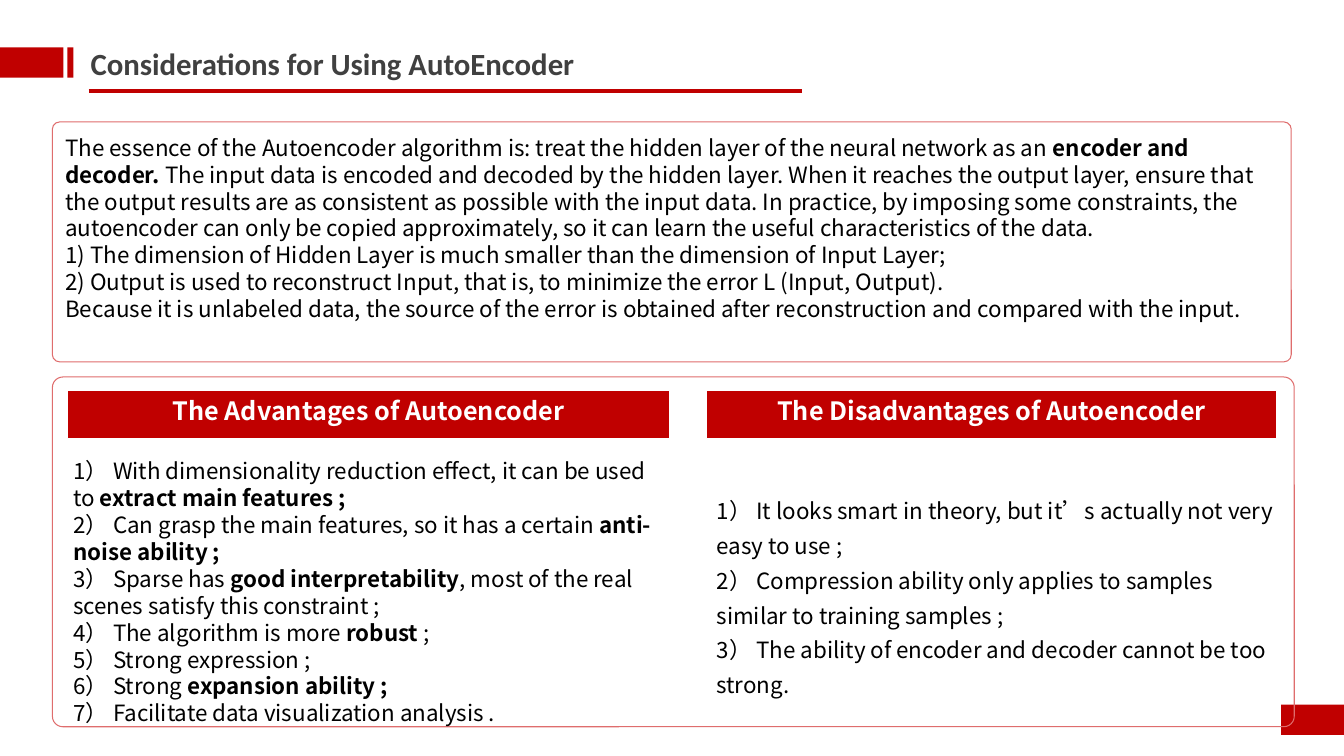
import lxml.etree
import pptx
import pptx.dml.color
import pptx.enum.shapes
import pptx.enum.text
import pptx.oxml.ns
import pptx.util

COLORS = {"red": "C00000", "pink": "DF6D6D", "gray": "404040",
          "black": "000000", "white": "FFFFFF"}
SHAPES = pptx.enum.shapes.MSO_SHAPE
ALIGN = pptx.enum.text.PP_ALIGN
WIDTH, HEIGHT = pptx.util.Inches(13.33), pptx.util.Inches(7.5)
BODY_FONT = "Noto Sans CJK SC"

TITLE = {"size": pptx.util.Pt(22), "name": "Calibri", "bold": True}
HEADING = {"size": pptx.util.Pt(18), "name": BODY_FONT, "bold": True}
BODY = {"size": pptx.util.Pt(16), "name": BODY_FONT}

ESSENCE = [
    "The essence of the Autoencoder algorithm is: treat the hidden layer of the "
    "neural network as an **encoder and decoder. **The input data is encoded and "
    "decoded by the hidden layer. When it reaches the output layer, ensure that the "
    "output results are as consistent as possible with the input data. In practice, "
    "by imposing some constraints, the autoencoder can only be copied approximately, "
    "so it can learn the useful characteristics of the data.",
    "1) The dimension of Hidden Layer is much smaller than the dimension of Input Layer;",
    "2) Output is used to reconstruct Input, that is, to minimize the error L (Input, Output).",
    "Because it is unlabeled data, the source of the error is obtained after "
    "reconstruction and compared with the input.",
]
ADVANTAGES = [
    "1） With dimensionality reduction effect, it can be used to **extract main features ;**",
    "2） Can grasp the main features, so it has a certain **anti-noise ability ;**",
    "3） Sparse has **good interpretability**, most of the real scenes satisfy this constraint ;",
    "4） The algorithm is more **robust **;",
    "5） Strong expression ;",
    "6） Strong **expansion ability ;**",
    "7） Facilitate data visualization analysis .",
]
DISADVANTAGES = [
    "1） It looks smart in theory, but it’s actually not very easy to use ;",
    "2） Compression ability only applies to samples similar to training samples ;",
    "3） The ability of encoder and decoder cannot be too strong.",
]


def rgb(color):
    return pptx.dml.color.RGBColor.from_string(COLORS[color])


def grid(column, row, columns, rows):
    """Turn cells of a 100 by 100 slide grid into left, top, width, height."""
    return [int(cells * side / 100) for cells, side in
            ((column, WIDTH), (row, HEIGHT), (columns, WIDTH), (rows, HEIGHT))]


def write(frame, paragraphs, style, color, **layout):
    """Fill a frame with paragraphs, where ** switches bold on and off."""
    frame.word_wrap = True
    frame.vertical_anchor = pptx.enum.text.MSO_ANCHOR.TOP
    for index, line in enumerate(paragraphs):
        paragraph = frame.paragraphs[0] if index == 0 else frame.add_paragraph()
        for attribute, value in layout.items():
            setattr(paragraph, attribute, value)
        for part, words in enumerate(line.split("**")):
            if not words:
                continue
            run = paragraph.add_run()
            run.text = words
            run.font.bold = part % 2 == 1
            for attribute, value in style.items():
                setattr(run.font, attribute, value)
            run.font.color.rgb = rgb(color)
            east_asian = lxml.etree.SubElement(
                run.font._element, pptx.oxml.ns.qn("a:ea"))
            east_asian.set("typeface", style["name"])


def add_text(slide, place, paragraphs, style, color, **layout):
    box = slide.shapes.add_textbox(*grid(*place))
    write(box.text_frame, paragraphs, style, color, **layout)


def add_block(slide, place, outline=None):
    block = slide.shapes.add_shape(SHAPES.RECTANGLE, *grid(*place))
    block.shadow.inherit = False
    block.fill.solid()
    block.fill.fore_color.rgb = rgb("red")
    if outline:
        block.line.color.rgb = rgb(outline)
        block.line.width = pptx.util.Pt(0.75)
    else:
        block.line.fill.background()
    return block


def add_card(slide, place):
    card = slide.shapes.add_shape(SHAPES.ROUNDED_RECTANGLE, *grid(*place))
    card.adjustments[0] = 0.03
    card.shadow.inherit = False
    card.fill.background()
    card.line.color.rgb = rgb("pink")
    card.line.width = pptx.util.Pt(0.75)


def add_banner(slide, place, heading):
    banner = add_block(slide, place, "white")
    write(banner.text_frame, [heading], HEADING, "white", alignment=ALIGN.CENTER)


def add_underline(slide, column, row, columns):
    left, top, width, _ = grid(column, row, columns, 0)
    rule = slide.shapes.add_connector(
        pptx.enum.shapes.MSO_CONNECTOR.STRAIGHT, left, top, left + width, top)
    rule.line.color.rgb = rgb("red")
    rule.line.width = pptx.util.Pt(3)
    lxml.etree.SubElement(rule._element.spPr, pptx.oxml.ns.qn("a:effectLst"))


def main():
    deck = pptx.Presentation()
    deck.slide_width, deck.slide_height = WIDTH, HEIGHT
    slide = deck.slides.add_slide(deck.slide_layouts[6])

    add_block(slide, (95.32, 93.2, 4.68, 4))
    add_text(slide, (6, 5.2, 87.08, 6.27),
             ["Considerations for Using AutoEncoder"], TITLE, "gray")
    add_card(slide, (3.9, 49.87, 92.4, 46.27))
    add_card(slide, (3.9, 16.13, 92.18, 31.73))
    add_text(slide, (4.12, 17.07, 92.18, 30.13), ESSENCE, BODY, "black")

    add_underline(slide, 6.6, 12, 53.1)
    for column, columns in ((0, 4.72), (5.02, 0.45)):
        add_block(slide, (column, 6.27, columns, 4))

    add_text(slide, (4.72, 59.87, 45.3, 37.2), ADVANTAGES, BODY, "black")
    add_text(slide, (52.58, 64, 43.72, 28.93), DISADVANTAGES, BODY, "black",
             line_spacing=1.3)
    add_banner(slide, (5.02, 51.6, 44.78, 6.4), "The Advantages of Autoencoder")
    add_banner(slide, (52.58, 51.6, 42.38, 6.4), "The Disadvantages of Autoencoder")

    deck.save("out.pptx")


if __name__ == "__main__":
    main()
